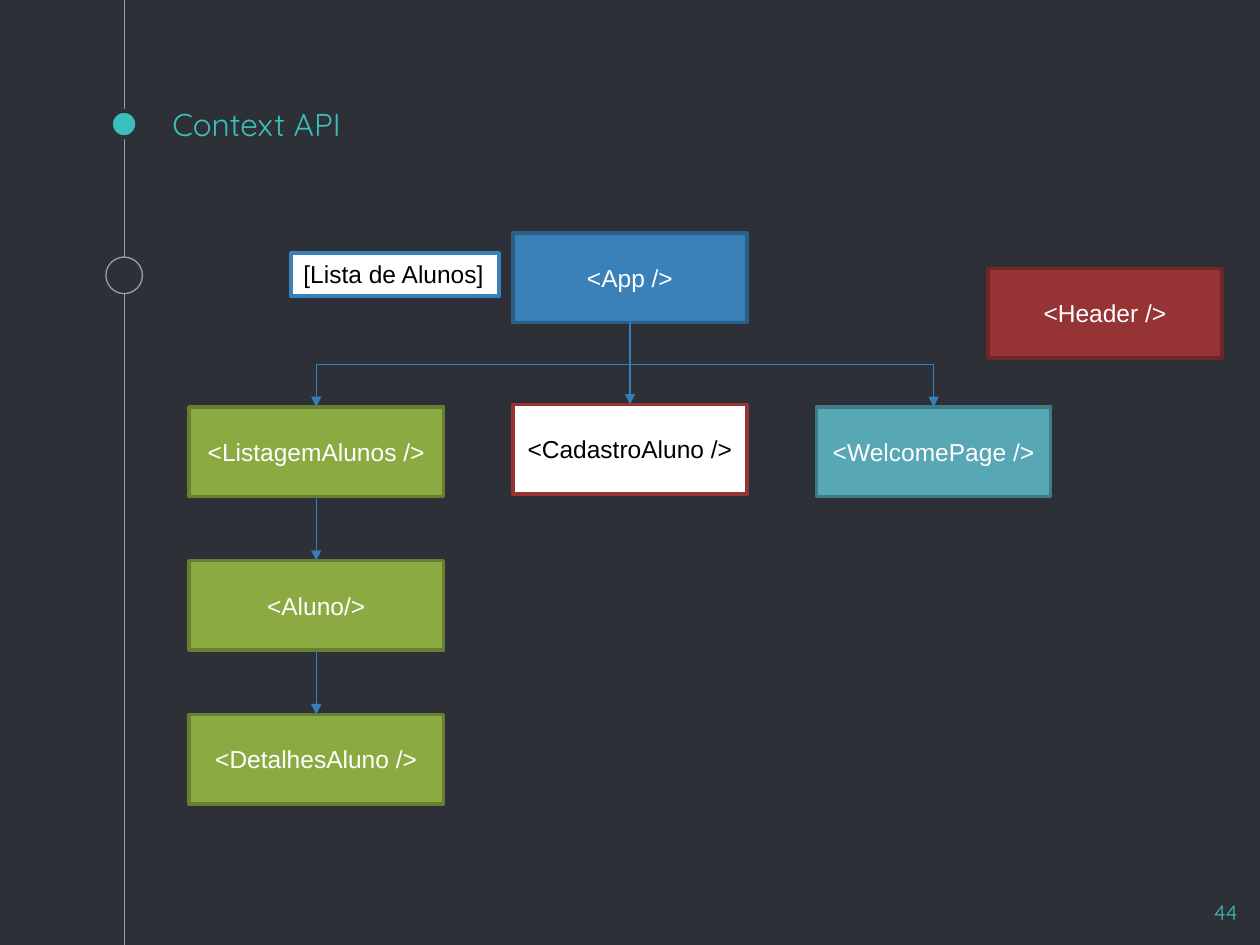
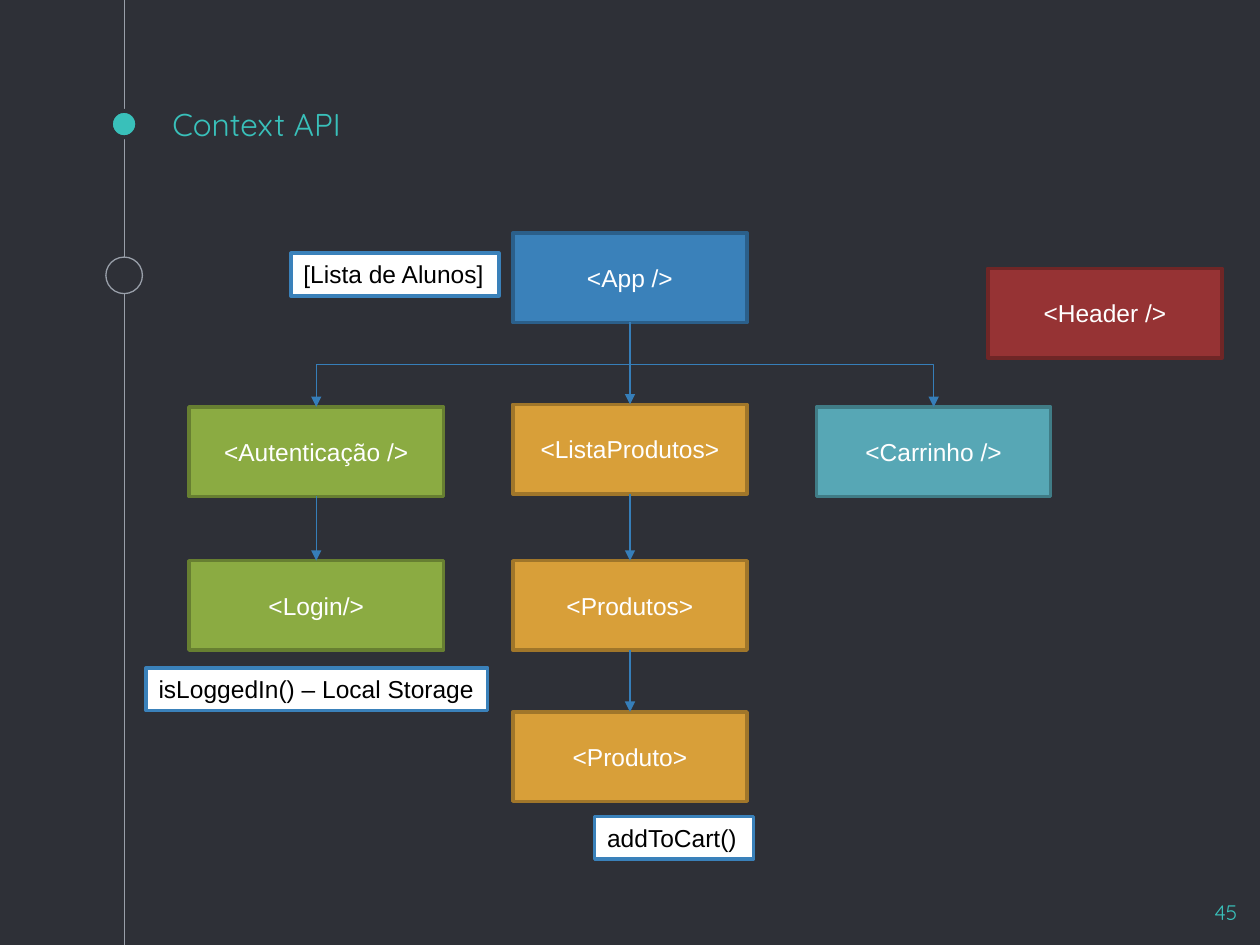
from pptx import Presentation
from pptx.dml.color import RGBColor
from pptx.enum.shapes import MSO_CONNECTOR, MSO_SHAPE
from pptx.enum.text import MSO_ANCHOR, MSO_AUTO_SIZE, PP_ALIGN
from pptx.oxml.ns import qn
from pptx.util import Inches, Pt
from lxml import etree

RECTANGLE, OVAL = MSO_SHAPE.RECTANGLE, MSO_SHAPE.OVAL
STRAIGHT, ELBOW = MSO_CONNECTOR.STRAIGHT, MSO_CONNECTOR.ELBOW
TOP, MIDDLE, BOTTOM = MSO_ANCHOR.TOP, MSO_ANCHOR.MIDDLE, MSO_ANCHOR.BOTTOM
LEFT, CENTER, RIGHT = PP_ALIGN.LEFT, PP_ALIGN.CENTER, PP_ALIGN.RIGHT
FIT_SHAPE = MSO_AUTO_SIZE.SHAPE_TO_FIT_TEXT
TOP_SIDE, BOTTOM_SIDE = 0, 2

BACKGROUND = RGBColor(0x2E, 0x30, 0x37)
ACCENT = RGBColor(0x39, 0xC0, 0xBA)
GRAY = RGBColor(0x99, 0x9F, 0xA9)
WHITE = RGBColor(0xFF, 0xFF, 0xFF)
BLACK = RGBColor(0x00, 0x00, 0x00)
ARROW_BLUE = RGBColor(0x36, 0x7E, 0xB9)
BLUE = RGBColor(0x3A, 0x81, 0xBA)
DARK_BLUE = RGBColor(0x2B, 0x5F, 0x8A)
GREEN = RGBColor(0x8B, 0xAB, 0x42)
DARK_GREEN = RGBColor(0x67, 0x7F, 0x31)
RED = RGBColor(0x96, 0x33, 0x34)
DARK_RED = RGBColor(0x6F, 0x26, 0x26)
TEAL = RGBColor(0x57, 0xA7, 0xB5)
DARK_TEAL = RGBColor(0x40, 0x7C, 0x86)
ORANGE = RGBColor(0xD8, 0x9F, 0x39)
DARK_ORANGE = RGBColor(0xA0, 0x76, 0x2A)

APP_STYLE = (BLUE, DARK_BLUE, WHITE)
GREEN_STYLE = (GREEN, DARK_GREEN, WHITE)
HEADER_STYLE = (RED, DARK_RED, WHITE)
TEAL_STYLE = (TEAL, DARK_TEAL, WHITE)
ORANGE_STYLE = (ORANGE, DARK_ORANGE, WHITE)
OUTLINED_STYLE = (WHITE, RED, BLACK)

LEFT_COLUMN, MIDDLE_COLUMN, RIGHT_COLUMN = (1.5, 2.02), (4.07, 1.86), (6.48, 1.86)
HEADER_COLUMN = (7.84, 1.86)
BOX_HEIGHT = 0.71


class TreeDeck:
    def __init__(self):
        self.deck = Presentation()
        self.deck.slide_width, self.deck.slide_height = Inches(10), Inches(7.5)
        self.page = None

    def add_page(self, title, number):
        self.page = self.deck.slides.add_slide(self.deck.slide_layouts[6])
        background = self.page.background.fill
        background.solid()
        background.fore_color.rgb = BACKGROUND
        self.line(STRAIGHT, (0.99, 0, 0.99, 7.5), GRAY)
        self.shape(OVAL, (0.88, 0.88, 0.21, 0.21), ACCENT, BACKGROUND, 2.25)
        self.shape(OVAL, (0.84, 2.04, 0.29, 0.29), BACKGROUND, GRAY, 0.75)
        self.caption(title, (1.27, 0.73, 7.5, 0.5), 18, LEFT, BOTTOM)
        self.caption(number, (9.32, 7.04, 0.6, 0.46), 12, RIGHT, TOP)

    def set_text(self, shape, text, size, font, color, align, anchor):
        frame = shape.text_frame
        frame.word_wrap = True
        frame.vertical_anchor = anchor
        para = frame.paragraphs[0]
        para.text = text
        para.alignment = align
        para.font.size, para.font.name = Pt(size), font
        para.font.color.rgb = color
        return frame

    def caption(self, text, bounds, size, align, anchor):
        box = self.page.shapes.add_textbox(*map(Inches, bounds))
        frame = self.set_text(box, text, size, "Quicksand", ACCENT, align, anchor)
        frame.margin_top = frame.margin_bottom = Inches(0.1)

    def shape(self, kind, bounds, fill, outline, weight):
        shape = self.page.shapes.add_shape(kind, *map(Inches, bounds))
        shape.shadow.inherit = False
        shape.fill.solid()
        shape.fill.fore_color.rgb = fill
        shape.line.color.rgb = outline
        shape.line.width = Pt(weight)
        return shape

    def component(self, text, column, top, style):
        fill, outline, color = style
        left, width = column
        box = self.shape(RECTANGLE, (left, top, width, BOX_HEIGHT), fill, outline, 2)
        self.set_text(box, text, 14, "Arial", color, CENTER, MIDDLE)
        return box

    def label(self, text, left, top, width):
        box = self.shape(RECTANGLE, (left, top, width, 0.34), WHITE, BLUE, 2)
        frame = self.set_text(box, text, 14, "Arial", BLACK, LEFT, TOP)
        frame.word_wrap = False
        frame.auto_size = FIT_SHAPE

    def line(self, kind, ends, color):
        line = self.page.shapes.add_connector(kind, *map(Inches, ends))
        line.line.color.rgb = color
        line.line.width = Pt(0.75)
        etree.SubElement(line._element.spPr, qn("a:effectLst"))
        return line

    def arrow(self, parent, child):
        start_x, end_x = (box.left + box.width // 2 for box in (parent, child))
        start_y, end_y = parent.top + parent.height, child.top
        across, down = abs(end_x - start_x), end_y - start_y
        aligned = across < Inches(0.01)
        arrow = self.line(STRAIGHT if aligned else ELBOW, (0, 0, 1, 1), ARROW_BLUE)
        outline = arrow._element.spPr.find(qn("a:ln"))
        etree.SubElement(outline, qn("a:tailEnd"), type="triangle")
        arrow.begin_connect(parent, BOTTOM_SIDE)
        arrow.end_connect(child, TOP_SIDE)
        if aligned:
            return
        arrow.left = (start_x + end_x - down) // 2
        arrow.top = (start_y + end_y - across) // 2
        arrow.width, arrow.height = down, across
        frame = arrow._element.spPr.find(qn("a:xfrm"))
        goes_right = end_x > start_x
        frame.set("rot", str((270 if goes_right else 90) * 60000))
        frame.set("flipH", "1" if goes_right else "0")

    def tree(self, left_branch, middle_branch, right_branch):
        app = self.component("<App />", MIDDLE_COLUMN, 1.85, APP_STYLE)
        self.component("<Header />", HEADER_COLUMN, 2.13, HEADER_STYLE)
        self.label("[Lista de Alunos]", 2.31, 2.01, 1.65)
        branches = (
            (LEFT_COLUMN, (3.23, 4.45, 5.67), GREEN_STYLE, left_branch),
            (MIDDLE_COLUMN, (3.21, 4.45, 5.65), *middle_branch),
            (RIGHT_COLUMN, (3.23,), TEAL_STYLE, right_branch),
        )
        for column, tops, style, names in branches:
            parent = app
            for name, top in zip(names, tops):
                child = self.component(name, column, top, style)
                self.arrow(parent, child)
                parent = child


def main():
    slides = TreeDeck()

    slides.add_page("Context API", "44")
    slides.tree(
        ("<ListagemAlunos />", "<Aluno/>", "<DetalhesAluno />"),
        (OUTLINED_STYLE, ("<CadastroAluno />",)),
        ("<WelcomePage />",),
    )

    slides.add_page("Context API", "45")
    slides.tree(
        ("<Autenticação />", "<Login/>"),
        (ORANGE_STYLE, ("<ListaProdutos>", "<Produtos>", "<Produto>")),
        ("<Carrinho />",),
    )
    slides.label("isLoggedIn() – Local Storage", 1.16, 5.3, 2.71)
    slides.label("addToCart()", 4.72, 6.48, 1.26)

    slides.deck.save("out.pptx")


if __name__ == "__main__":
    main()
